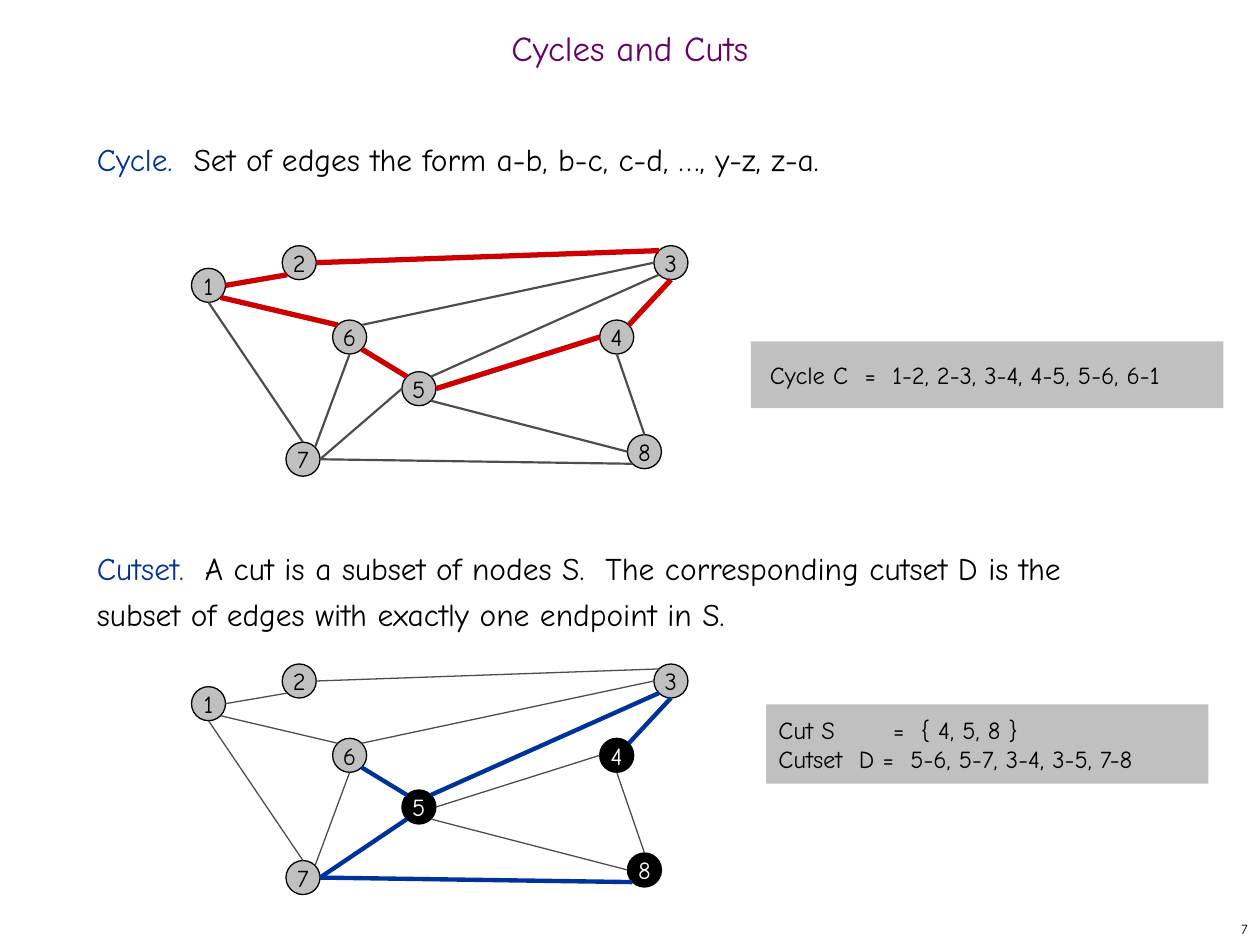
from lxml import etree
from pptx import Presentation
from pptx.dml.color import RGBColor
from pptx.enum.shapes import MSO_CONNECTOR, MSO_SHAPE
from pptx.enum.text import MSO_ANCHOR, PP_ALIGN
from pptx.oxml.ns import qn
from pptx.util import Inches, Pt

BLACK = RGBColor(0x00, 0x00, 0x00)
CUT_BLACK = RGBColor(0x01, 0x00, 0x00)
WHITE = RGBColor(0xFF, 0xFF, 0xFF)
SILVER = RGBColor(0xC0, 0xC0, 0xC0)
GRAY = RGBColor(0x4D, 0x4D, 0x4D)
PURPLE = RGBColor(0x66, 0x00, 0x66)
BLUE = RGBColor(0x00, 0x33, 0x99)
RED = RGBColor(0xCC, 0x00, 0x00)

# Top left corner of each node in the upper graph
NODES = {1: (1.52, 2.13), 2: (2.24, 1.95), 3: (5.19, 1.95), 4: (4.76, 2.54),
         5: (3.19, 2.95), 6: (2.64, 2.54), 7: (2.27, 3.51), 8: (4.98, 3.45)}
NODE_SIZE = 0.27
GRAPH_GAP = 3.32

# Each edge joins two nodes, each at a compass point on its rim
EDGES = {(1, 2): ("E", "SW"), (1, 6): ("SE", "NW"), (1, 7): ("S", "N"),
         (3, 6): ("W", "NE"), (3, 4): ("S", "NE"), (5, 6): ("NW", "SE"),
         (5, 8): ("SE", "W"), (4, 5): ("W", "E"), (4, 8): ("S", "N"),
         (3, 5): ("SW", "NE"), (6, 7): ("S", "NE"), (5, 7): ("SW", "E"),
         (2, 3): ("E", "NW"), (7, 8): ("E", "SW")}
CYCLE = {(1, 2), (2, 3), (3, 4), (4, 5), (5, 6), (1, 6)}
CUT = {4, 5, 8}


def rim_point(node, compass, offset):
    radius = NODE_SIZE / 2
    reach = radius * (0.71 if len(compass) == 2 else 1)
    across = ("E" in compass) - ("W" in compass)
    down = ("S" in compass) - ("N" in compass)
    left, top = NODES[node]
    return left + radius + across * reach, top + offset + radius + down * reach


class SlideBuilder:
    font_name = "Comic Neue"

    def __init__(self, slide):
        self.slide = slide

    def add_run(self, paragraph, text, size, color):
        run = paragraph.add_run()
        run.text = text
        run.font.name = self.font_name
        run.font.size = Pt(size)
        run.font.color.rgb = color

    def fill_text(self, shape, lines, size, align=PP_ALIGN.LEFT,
                  anchor=MSO_ANCHOR.MIDDLE, wrap=True, inset=(0.1, 0.05)):
        """Each line is a list of (text, colour) runs."""
        frame = shape.text_frame
        frame.word_wrap = wrap
        frame.vertical_anchor = anchor
        frame.margin_left = frame.margin_right = Inches(inset[0])
        frame.margin_top = frame.margin_bottom = Inches(inset[1])
        for index, line in enumerate(lines):
            paragraph = frame.add_paragraph() if index else frame.paragraphs[0]
            paragraph.alignment = align
            for text, color in line:
                self.add_run(paragraph, text, size, color)
        return frame.paragraphs

    def add_text(self, position, lines, size, **options):
        box = self.slide.shapes.add_textbox(*map(Inches, position))
        return self.fill_text(box, lines, size, **options)

    def add_panel(self, position, lines, inset):
        panel = self.slide.shapes.add_shape(MSO_SHAPE.RECTANGLE, *map(Inches, position))
        panel.shadow.inherit = False
        panel.fill.solid()
        panel.fill.fore_color.rgb = SILVER
        panel.line.fill.background()
        return self.fill_text(panel, [[(line, BLACK)] for line in lines], 14, inset=inset)

    def add_node(self, number, offset, in_cut):
        left, top = NODES[number]
        node = self.slide.shapes.add_shape(
            MSO_SHAPE.OVAL, Inches(left), Inches(top + offset),
            Inches(NODE_SIZE), Inches(NODE_SIZE))
        node.shadow.inherit = False
        node.fill.solid()
        node.fill.fore_color.rgb = CUT_BLACK if in_cut else SILVER
        node.line.color.rgb = BLACK
        node.line.width = Pt(0.75)
        self.fill_text(node, [[(str(number), WHITE if in_cut else BLACK)]], 14,
                       align=PP_ALIGN.CENTER, wrap=False)

    def add_edge(self, start, end, color, width):
        edge = self.slide.shapes.add_connector(
            MSO_CONNECTOR.STRAIGHT, *map(Inches, start + end))
        edge.line.color.rgb = color
        edge.line.width = Pt(width)
        etree.SubElement(edge._element.spPr, qn("a:effectLst"))

    def add_graph(self, offset, edges, marked, mark_color, mark_width, width, cut=()):
        for number in NODES:
            self.add_node(number, offset, number in cut)
        for pair, compass in edges.items():
            start, end = (rim_point(node, point, offset)
                          for node, point in zip(pair, compass))
            style = (mark_color, mark_width) if pair in marked else (GRAY, width)
            self.add_edge(start, end, *style)


def add_tab_stop(paragraph, position):
    tabs = etree.SubElement(paragraph._p.get_or_add_pPr(), qn("a:tabLst"))
    etree.SubElement(tabs, qn("a:tab"), pos=str(Inches(position)), algn="l")


def main():
    presentation = Presentation()
    presentation.slide_width = Inches(10)
    presentation.slide_height = Inches(7.5)
    slide = presentation.slides.add_slide(presentation.slide_layouts[6])
    builder = SlideBuilder(slide)

    # Slide number and title
    builder.add_text((7.92, 7.25, 2.08, 0.25), [[("7", BLACK)]], 8, align=PP_ALIGN.RIGHT)
    title = builder.add_text((0, 0.17, 10, 0.5), [[("Cycles and Cuts", PURPLE)]], 20,
                             align=PP_ALIGN.CENTER)
    title[0].line_spacing = 0.7

    # Definitions, with room for the upper graph between them
    definitions = builder.add_text((0.67, 1, 8.58, 5.92), [
        [("Cycle.  ", BLUE),
         ("Set of edges the form a-b, b-c, c-d, …, y-z, z-a.", BLACK)],
        [("Cutset.  ", BLUE),
         ("A cut is a subset of nodes S.  The corresponding cutset D is the "
          "subset of edges with exactly one endpoint in S.", BLACK)],
    ], 18, anchor=MSO_ANCHOR.TOP)
    for paragraph in definitions:
        paragraph.line_spacing = Pt(26)
    definitions[1].space_before = Pt(8 * 26)

    # Cycle graph
    builder.add_panel((5.96, 2.71, 3.75, 0.53),
                      ["Cycle C  =  1-2, 2-3, 3-4, 4-5, 5-6, 6-1"], (0.15, 0.15))
    cycle_edges = {**EDGES, (5, 7): ("W", "E")}
    builder.add_graph(0, cycle_edges, CYCLE, RED, 3, 1.25)

    # Cutset graph: marked edges have exactly one end in the cut
    cutset = {pair for pair in EDGES if len(CUT.intersection(pair)) == 1}
    builder.add_graph(GRAPH_GAP, EDGES, cutset, BLUE, 2.5, 0.75, CUT)
    cut_lines = builder.add_panel(
        (6.08, 5.59, 3.51, 0.63),
        ["Cut S\t=  { 4, 5, 8 }", "Cutset  D =  5-6, 5-7, 3-4, 3-5, 7-8"], (0.1, 0.08))
    add_tab_stop(cut_lines[0], 0.91)

    presentation.save("out.pptx")


if __name__ == "__main__":
    main()
